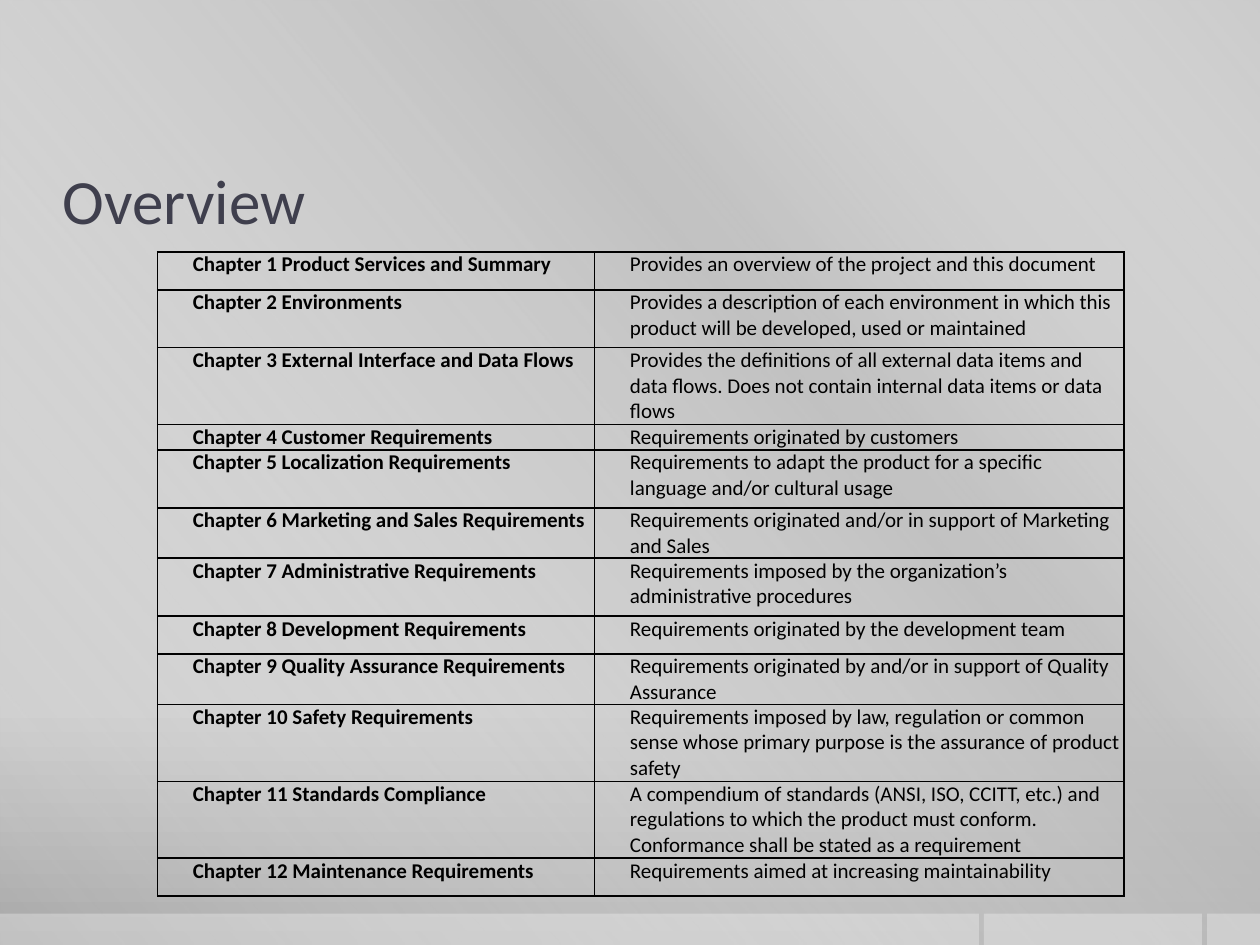
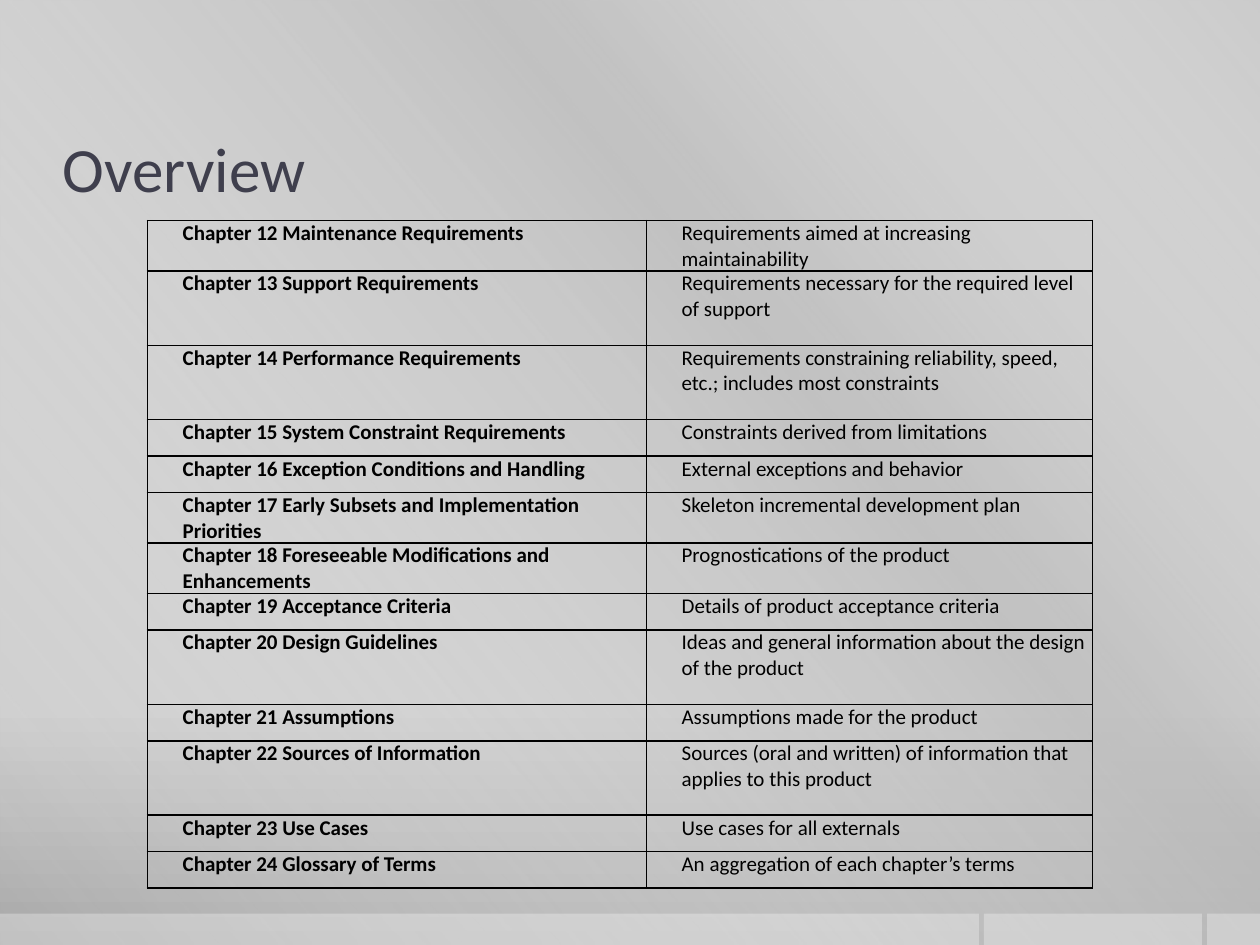
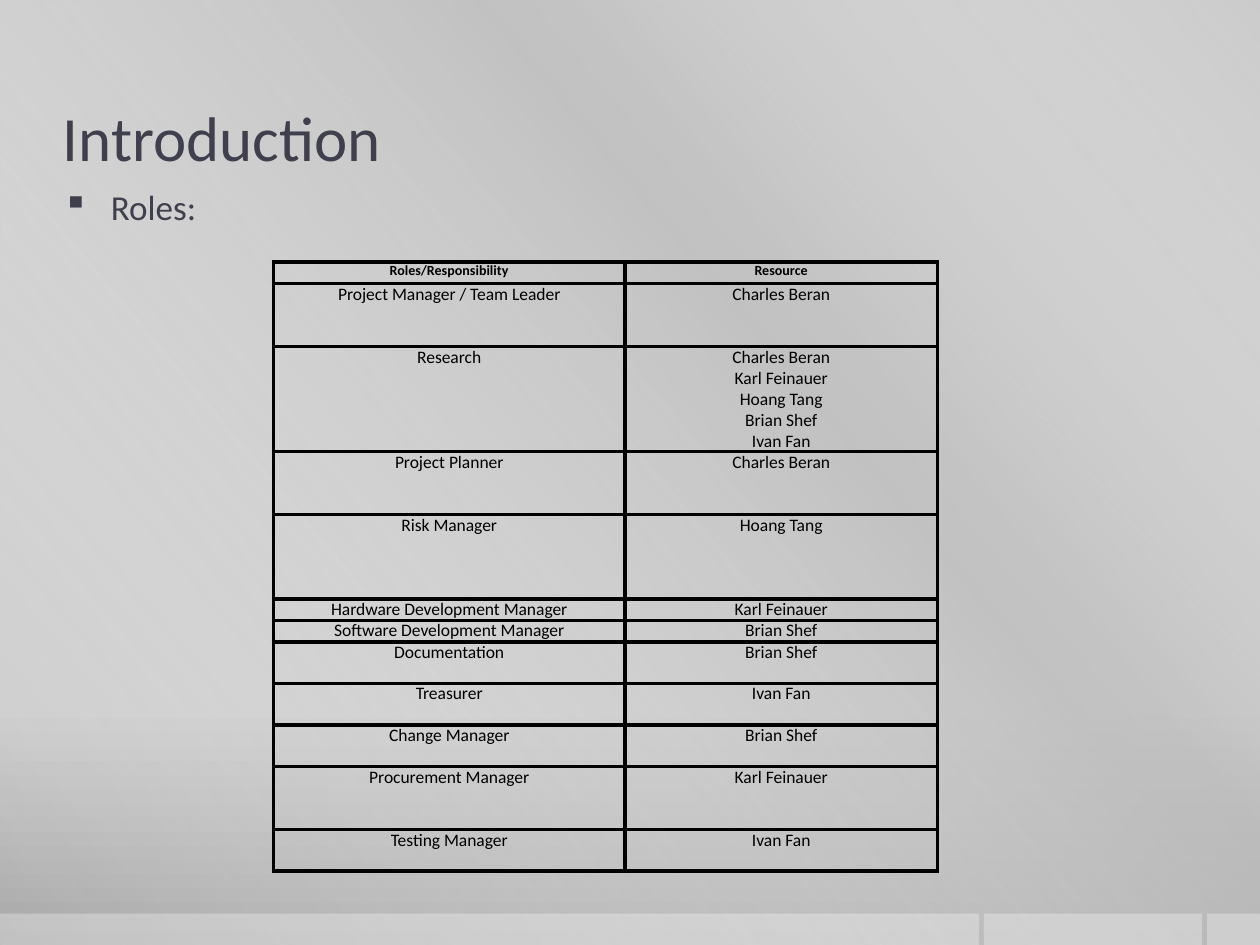
from lxml.etree import SubElement
from pptx import Presentation
from pptx.dml.color import RGBColor
from pptx.enum.shapes import MSO_SHAPE
from pptx.enum.text import MSO_ANCHOR, PP_ALIGN
from pptx.oxml import parse_xml
from pptx.oxml.ns import nsdecls, qn
from pptx.util import Inches, Pt

FONT = "Calibri"
INK, BLACK, WHITE = "3F3F4D", "000000", "FFFFFF"
WIDTH, HEIGHT = 10, 7.5
BACKDROP = [(0, "CBCBCB", 100), (76, "C8C8C8", 100), (100, "A7A7A7", 100)]
SHEEN = [(0, WHITE, 0), (34, "BFBFBF", 61), (38, "BFBFBF", 76), (100, WHITE, 0)]
FOOTER_BANDS = [(0, 7.77), (7.81, 1.73), (9.58, 0.42)]
FOOTER_TOP, FOOTER_HEIGHT = 7.25, 0.25

CHAPTERS_1 = [
    (0.3, "Chapter 1 Product Services and Summary", "Provides an overview of the project and this document"),
    (0.46, "Chapter 2 Environments",
     "Provides a description of each environment in which this product will be developed, used or maintained"),
    (0.61, "Chapter 3 External Interface and Data Flows",
     "Provides the definitions of all external data items and data flows. "
     "Does not contain internal data items or data flows"),
    (0.2, "Chapter 4 Customer Requirements", "Requirements originated by customers"),
    (0.46, "Chapter 5 Localization Requirements",
     "Requirements to adapt the product for a specific language and/or cultural usage"),
    (0.3, "Chapter 6 Marketing and Sales Requirements",
     "Requirements originated and/or in support of Marketing and Sales"),
    (0.46, "Chapter 7 Administrative Requirements",
     "Requirements imposed by the organization’s administrative procedures"),
    (0.3, "Chapter 8 Development Requirements", "Requirements originated by the development team"),
    (0.3, "Chapter 9 Quality Assurance Requirements",
     "Requirements originated by and/or in support of Quality Assurance"),
    (0.61, "Chapter 10 Safety Requirements",
     "Requirements imposed by law, regulation or common sense whose primary purpose "
     "is the assurance of product safety"),
    (0.61, "Chapter 11 Standards Compliance",
     "A compendium of standards (ANSI, ISO, CCITT, etc.) and regulations to which the product "
     "must conform. Conformance shall be stated as a requirement"),
    (0.3, "Chapter 12 Maintenance Requirements", "Requirements aimed at increasing maintainability"),
]
CHAPTERS_2 = [
    (0.29, "Chapter 12 Maintenance Requirements", "Requirements aimed at increasing maintainability"),
    (0.59, "Chapter 13 Support Requirements", "Requirements necessary for the required level of support"),
    (0.59, "Chapter 14 Performance Requirements",
     "Requirements constraining reliability, speed, etc.; includes most constraints"),
    (0.29, "Chapter 15 System Constraint Requirements", "Constraints derived from limitations"),
    (0.29, "Chapter 16 Exception Conditions and Handling", "External exceptions and behavior"),
    (0.29, "Chapter 17 Early Subsets and Implementation Priorities", "Skeleton incremental development plan"),
    (0.29, "Chapter 18 Foreseeable Modifications and Enhancements", "Prognostications of the product"),
    (0.29, "Chapter 19 Acceptance Criteria", "Details of product acceptance criteria"),
    (0.59, "Chapter 20 Design Guidelines", "Ideas and general information about the design of the product"),
    (0.29, "Chapter 21 Assumptions", "Assumptions made for the product"),
    (0.59, "Chapter 22 Sources of Information",
     "Sources (oral and written) of information that applies to this product"),
    (0.29, "Chapter 23 Use Cases", "Use cases for all externals"),
    (0.29, "Chapter 24 Glossary of Terms", "An aggregation of each chapter’s terms"),
]
ROLES = [
    (0.17, "Roles/Responsibility", "Resource"),
    (0.5, "Project Manager / Team Leader", "Charles Beran"),
    (0.83, "Research", "Charles Beran\nKarl Feinauer\nHoang Tang\nBrian Shef\nIvan Fan"),
    (0.5, "Project Planner", "Charles Beran"),
    (0.67, "Risk Manager", "Hoang Tang"),
    (0.17, "Hardware Development Manager", "Karl Feinauer"),
    (0.17, "Software Development Manager", "Brian Shef"),
    (0.33, "Documentation", "Brian Shef"),
    (0.33, "Treasurer", "Ivan Fan"),
    (0.33, "Change Manager", "Brian Shef"),
    (0.5, "Procurement Manager", "Karl Feinauer"),
    (0.33, "Testing Manager", "Ivan Fan"),
]


def rgb(color):
    """Turn a hex string into a colour."""
    return RGBColor.from_string(color)


def set_alpha(clr, percent):
    """Give a colour element an opacity."""
    SubElement(clr, qn("a:alpha")).set("val", str(percent * 1000))


def set_gradient(fill, element, stops, angle):
    """Fill with a linear gradient of (position, colour, opacity) stops."""
    fill.gradient()
    grad = next(element.iter(qn("a:gradFill")))
    gs_lst = grad.find(qn("a:gsLst"))
    for gs in list(gs_lst):
        gs_lst.remove(gs)
    for pos, color, opacity in stops:
        gs = SubElement(gs_lst, qn("a:gs"), pos=str(pos * 1000))
        set_alpha(SubElement(gs, qn("a:srgbClr"), val=color), opacity)
    grad.find(qn("a:lin")).set("ang", str(angle * 60000))


def add_rect(shapes, left, top, width, height):
    """Add a plain rectangle without line or shadow."""
    sp = shapes.add_shape(MSO_SHAPE.RECTANGLE, Inches(left), Inches(top), Inches(width), Inches(height))
    sp.shadow.inherit = False
    sp.line.fill.background()
    return sp


def add_backdrop(s):
    """Draw the diagonal sheen and the footer bands."""
    sheen = add_rect(s.shapes, 0, 0, WIDTH, HEIGHT)
    set_gradient(sheen.fill, sheen.element.spPr, SHEEN, 140)
    footer = s.shapes.add_group_shape()
    for left, width in FOOTER_BANDS:
        band = add_rect(footer.shapes, left, FOOTER_TOP, width, FOOTER_HEIGHT)
        band.fill.solid()
        band.fill.fore_color.rgb = rgb(WHITE)
        set_alpha(next(band.element.spPr.iter(qn("a:srgbClr"))), 30)


def format_runs(p, size, color, bold=False):
    """Set the font of every run in a paragraph."""
    for r in p.runs:
        r.font.name = FONT
        r.font.size = Pt(size)
        r.font.bold = bold
        r.font.color.rgb = rgb(color)


def add_text(s, text, left, top, width, height, size):
    """Add a wrapped text box and return its text frame."""
    tf = s.shapes.add_textbox(Inches(left), Inches(top), Inches(width), Inches(height)).text_frame
    tf.word_wrap = True
    tf.margin_left = tf.margin_right = 0
    tf.text = text
    format_runs(tf.paragraphs[0], size, INK)
    return tf


def add_title(s, text, top):
    """Add the slide title."""
    add_text(s, text, 0.5, top, 9, 1, 36).vertical_anchor = MSO_ANCHOR.MIDDLE


def add_bullet(s, text, left, top, width, height):
    """Add a text box with one square bullet."""
    p = add_text(s, text, left, top, width, height, 20).paragraphs[0]
    p.space_before, p.space_after = Pt(4), Pt(6)
    pPr = p._p.get_or_add_pPr()
    pPr.set("marL", str(Inches(0.38)))
    pPr.set("indent", str(-Inches(0.38)))
    SubElement(pPr, qn("a:buChar"), char="▪")


def set_borders(cell, weight):
    """Draw a black line on all four sides of a cell."""
    tcPr = cell._tc.get_or_add_tcPr()
    for i, side in enumerate("LRTB"):
        tcPr.insert(i, parse_xml(
            f'<a:ln{side} {nsdecls("a")} w="{Pt(weight)}"><a:solidFill>'
            f'<a:srgbClr val="{BLACK}"/></a:solidFill></a:ln{side}>'))


def add_grid(s, rows, left, top, widths, weight, style):
    """Add a table of (height, text, text) rows, with style called for each paragraph."""
    heights = [row[0] for row in rows]
    table = s.shapes.add_table(len(rows), len(widths), Inches(left), Inches(top),
                               Inches(sum(widths)), Inches(sum(heights))).table
    table.first_row = table.horz_banding = False
    for column, width in zip(table.columns, widths):
        column.width = Inches(width)
    for i, (height, *texts) in enumerate(rows):
        table.rows[i].height = Inches(height)
        for j, text in enumerate(texts):
            cell = table.cell(i, j)
            cell.margin_left = cell.margin_right = Inches(0.03)
            cell.margin_top = cell.margin_bottom = 0
            cell.fill.background()
            set_borders(cell, weight)
            cell.text_frame.text = text
            for p in cell.text_frame.paragraphs:
                style(p, i, j)


def style_chapter(p, row, col):
    """Indent a chapter cell and embolden the chapter names."""
    p._p.get_or_add_pPr().set("marL", str(Inches(0.25)))
    if col == 0:
        p.space_before = Pt(6)
    format_runs(p, 12, BLACK, col == 0)


def style_role(p, row, col):
    """Centre a role cell, with a small bold heading row."""
    p.alignment = PP_ALIGN.CENTER
    format_runs(p, 8 if row == 0 else 10, BLACK, row == 0)


def add_slide(prs, title, title_top):
    """Add a slide with the shared backdrop and a title."""
    s = prs.slides.add_slide(prs.slide_layouts[6])
    add_backdrop(s)
    add_title(s, title, title_top)
    return s


def add_overview(prs, chapters, left, top, widths):
    """Add an overview slide, with its title just above the chapter table."""
    s = add_slide(prs, "Overview", top - 0.92)
    add_grid(s, chapters, left, top, widths, 1, style_chapter)


def add_introduction(prs):
    """Add the slide of project roles."""
    s = add_slide(prs, "Introduction", 0.58)
    add_bullet(s, "Roles:", 0.5, 1.42, 9, 4.95)
    add_grid(s, ROLES, 2.17, 2.08, (2.79, 2.48), 2.25, style_role)


def main():
    """Build and save the presentation."""
    prs = Presentation()
    prs.slide_width, prs.slide_height = Inches(WIDTH), Inches(HEIGHT)
    master = prs.slide_master
    set_gradient(master.background.fill, master.element, BACKDROP, 90)
    add_overview(prs, CHAPTERS_1, 1.25, 2, (3.47, 4.2))
    add_overview(prs, CHAPTERS_2, 1.17, 1.75, (3.96, 3.54))
    add_introduction(prs)
    prs.save("out.pptx")


if __name__ == "__main__":
    main()
